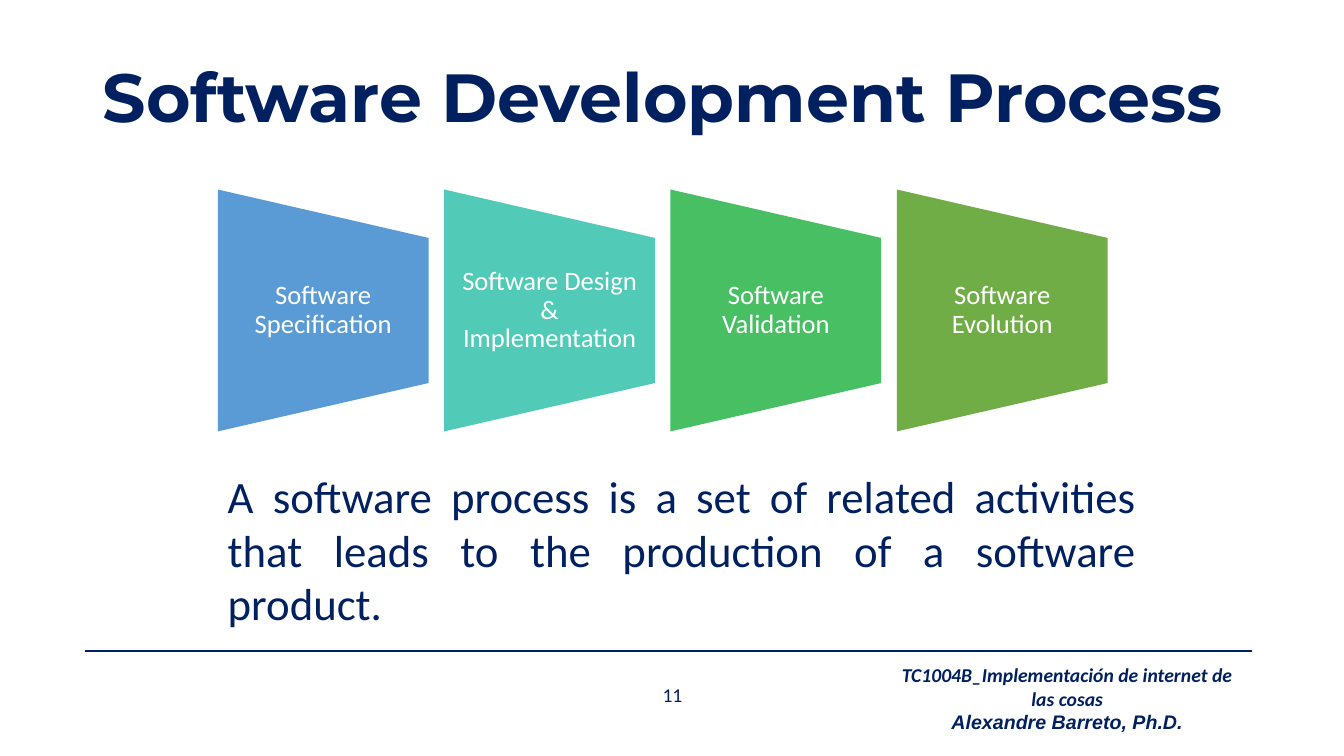
import pptx
import pptx.util
import pptx.dml.color
import pptx.enum.shapes
import pptx.enum.text
from lxml import etree

Inches = pptx.util.Inches
Pt = pptx.util.Pt
Align = pptx.enum.text.PP_ALIGN
Anchor = pptx.enum.text.MSO_ANCHOR

COLORS = {"navy": "002060", "white": "FFFFFF", "blue": "5B9BD5",
          "teal": "52CAB8", "green": "49BF64", "olive": "70AD47"}
TITLE = "Software Development Process"
STAGES = [("Software Specification", "blue"),
          ("Software Design & Implementation", "teal"),
          ("Software Validation", "green"),
          ("Software Evolution", "olive")]
DEFINITION = ("A software process is a set of related activities that leads "
              "to the production of a software product.")
PAGE_NUMBER = "11"
COURSE = "TC1004B_Implementación de internet de las cosas"
AUTHOR = "Alexandre Barreto, Ph.D."

STAGE_LEFT, STAGE_PITCH = 2.16, 2.245
STAGE_WIDTH, STAGE_HEIGHT, STAGE_MIDDLE = 2.09, 2.4, 3.08
LABEL_HEIGHT = 1.44


def rgb(name):
    return pptx.dml.color.RGBColor.from_string(COLORS[name])


def add_text(page, place, lines, size, color="navy", align=Align.CENTER,
             anchor=Anchor.TOP, spacing=None, side_inset=0.1, inset=0.05,
             bold=False, italic=False):
    """Add a text box; lines holds one (text, font) pair per paragraph."""
    box = page.shapes.add_textbox(*map(Inches, place))
    frame = box.text_frame
    frame.word_wrap = True
    frame.vertical_anchor = anchor
    frame.margin_left = frame.margin_right = Inches(side_inset)
    frame.margin_top = frame.margin_bottom = Inches(inset)
    for index, (text, font) in enumerate(lines):
        para = frame.add_paragraph() if index else frame.paragraphs[0]
        para.alignment = align
        if spacing:
            para.line_spacing = spacing
        span = para.add_run()
        span.text = text
        span.font.name = font
        span.font.size = Pt(size)
        span.font.bold = bold
        span.font.italic = italic
        span.font.color.rgb = rgb(color)


def add_stage(page, index, label, color):
    left = STAGE_LEFT + index * STAGE_PITCH
    # The shape is turned a quarter, so its own width is the visible height.
    shape = page.shapes.add_shape(
        pptx.enum.shapes.MSO_SHAPE.FLOWCHART_MANUAL_OPERATION,
        Inches(left + (STAGE_WIDTH - STAGE_HEIGHT) / 2),
        Inches(STAGE_MIDDLE - STAGE_WIDTH / 2),
        Inches(STAGE_HEIGHT), Inches(STAGE_WIDTH))
    shape.rotation = 270
    shape.shadow.inherit = False
    shape.fill.solid()
    shape.fill.fore_color.rgb = rgb(color)
    shape.line.fill.background()
    add_text(page, (left, STAGE_MIDDLE - LABEL_HEIGHT / 2, STAGE_WIDTH, LABEL_HEIGHT),
             [(label, "Calibri")], 19, "white", anchor=Anchor.MIDDLE,
             spacing=0.9, side_inset=0.13, inset=0)


def add_footer(page):
    rule = page.shapes.add_connector(
        pptx.enum.shapes.MSO_CONNECTOR.STRAIGHT,
        Inches(0.84), Inches(6.46), Inches(12.42), Inches(6.46))
    rule.line.color.rgb = rgb("navy")
    rule.line.width = Pt(1.5)
    etree.SubElement(rule._element.spPr, pptx.oxml.ns.qn("a:effectLst"))
    add_text(page, (5.81, 6.79, 1.72, 0.2), [(PAGE_NUMBER, "Calibri")], 14,
             anchor=Anchor.MIDDLE)
    add_text(page, (8.75, 6.53, 3.67, 0.81),
             [(COURSE, "Calibri"), (AUTHOR, "Arial")], 14, bold=True, italic=True)


def main():
    deck = pptx.Presentation()
    deck.slide_width, deck.slide_height = Inches(13.33), Inches(7.5)
    page = deck.slides.add_slide(deck.slide_layouts[6])
    add_footer(page)
    add_text(page, (0.92, 0.27, 11.5, 1.45), [(TITLE, "Montserrat")], 48.6,
             align=Align.LEFT, anchor=Anchor.MIDDLE, spacing=0.9, bold=True)
    for index, (label, color) in enumerate(STAGES):
        add_stage(page, index, label, color)
    add_text(page, (2.16, 4.6, 9.21, 1.72), [(DEFINITION, "Calibri")], 32,
             align=Align.JUSTIFY)
    deck.save("out.pptx")


if __name__ == "__main__":
    main()
